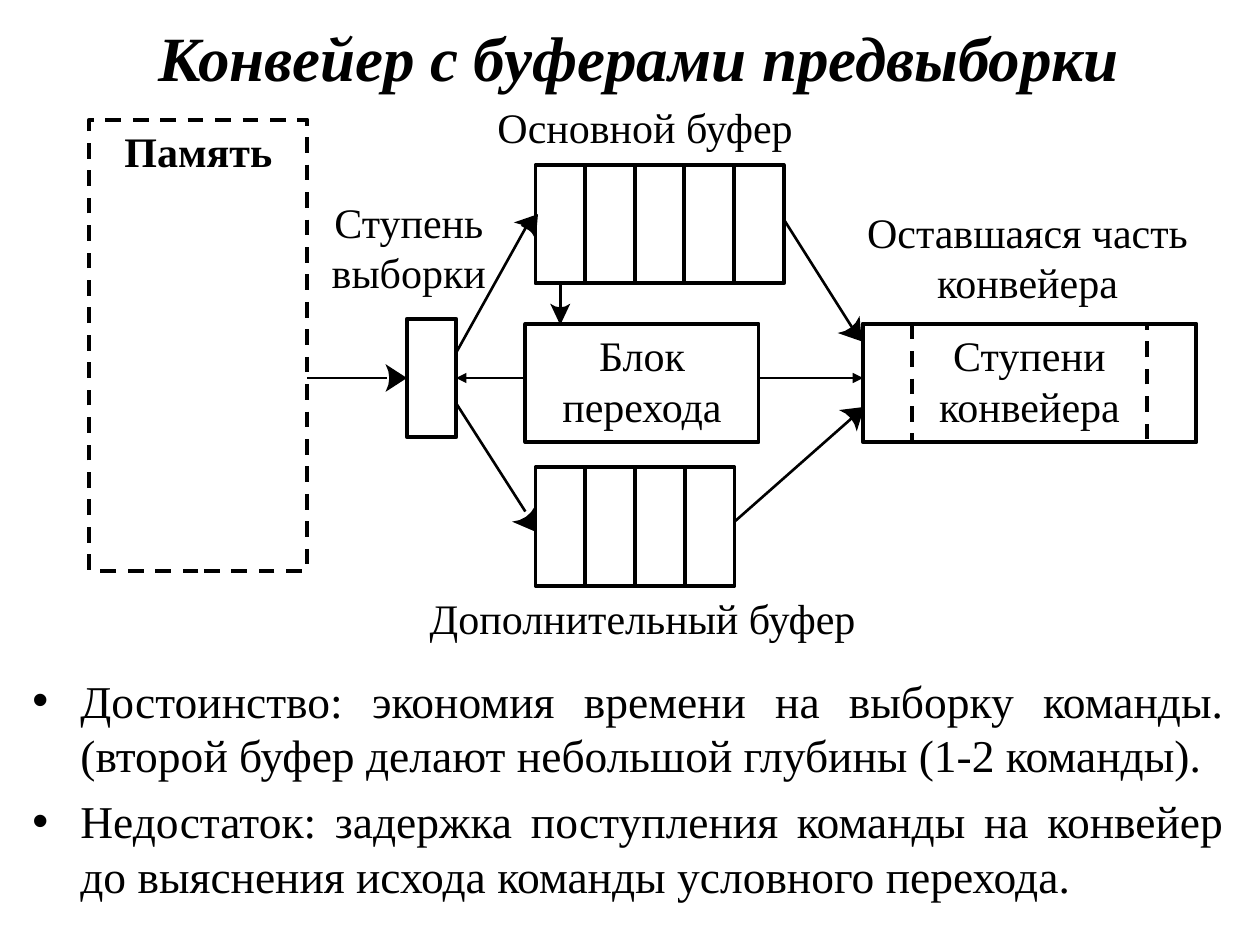
from dataclasses import dataclass
from math import cos, radians, sin

from lxml.etree import SubElement
from pptx import Presentation
from pptx.dml.color import RGBColor
from pptx.enum.dml import MSO_LINE
from pptx.enum.shapes import MSO_CONNECTOR, MSO_SHAPE
from pptx.enum.text import MSO_ANCHOR, PP_ALIGN
from pptx.oxml.ns import qn
from pptx.util import Inches, Pt


@dataclass(frozen=True)
class Theme:
    ink: RGBColor = RGBColor(0, 0, 0)
    font: str = "Times New Roman"
    bullet_font: str = "Arial"
    title: int = 36
    body: int = 26
    label: int = 24
    border: float = 2.25
    flow: float = 1.5
    signal: float = 0.75


THEME = Theme()


def add_run(paragraph, text, size, bold=False, italic=False):
    run = paragraph.add_run()
    run.text = text
    run.font.name = THEME.font
    run.font.size = Pt(size)
    run.font.bold = bold
    run.font.italic = italic
    run.font.color.rgb = THEME.ink


def add_label(slide, box, text, size=THEME.label, **style):
    frame = slide.shapes.add_textbox(*map(Inches, box)).text_frame
    frame.word_wrap = True
    frame.paragraphs[0].alignment = PP_ALIGN.CENTER
    add_run(frame.paragraphs[0], text, size, **style)
    return frame


def add_block(slide, box, text="", dashed=False, bold=False):
    block = slide.shapes.add_shape(MSO_SHAPE.RECTANGLE, *map(Inches, box))
    block.shadow.inherit = False
    block.fill.background()
    block.line.color.rgb = THEME.ink
    block.line.width = Pt(THEME.border)
    if dashed:
        block.line.dash_style = MSO_LINE.DASH
    if text:
        frame = block.text_frame
        frame.word_wrap = True
        frame.vertical_anchor = MSO_ANCHOR.TOP
        frame.paragraphs[0].alignment = PP_ALIGN.CENTER
        add_run(frame.paragraphs[0], text, THEME.label, bold)
    return block


def add_buffer(slide, box, count):
    left, top, width, height = box
    cell = width / count
    return [add_block(slide, (left + i * cell, top, cell, height)) for i in range(count)]


def add_flow(slide, start, end, width=THEME.flow, arrow=False):
    flow = slide.shapes.add_connector(
        MSO_CONNECTOR.STRAIGHT, *map(Inches, (*start, *end)))
    flow.line.color.rgb = THEME.ink
    flow.line.width = Pt(width)
    if arrow:
        SubElement(flow.line._get_or_add_ln(), qn("a:tailEnd"), type="triangle")
    SubElement(flow._element.spPr, qn("a:effectLst"))
    return flow


def add_arrowhead(slide, tip, angle, half_width=0.11, length=0.17, notch=0.03):
    dx, dy = cos(radians(angle)), sin(radians(angle))

    def locate(back, side):
        return (Inches(tip[0] - back * dx - side * dy),
                Inches(tip[1] - back * dy + side * dx))

    back_edge = [locate(length - notch * (1 - t * t), half_width * t)
                 for t in (-1, -0.5, 0, 0.5, 1)]
    builder = slide.shapes.build_freeform(*locate(0, 0), scale=1.0)
    builder.add_line_segments(back_edge, close=True)
    head = builder.convert_to_shape()
    head.shadow.inherit = False
    head.fill.solid()
    head.fill.fore_color.rgb = THEME.ink
    head.line.fill.background()


def add_title(slide, box):
    frame = add_label(slide, box, "Конвейер с буферами предвыборки",
                      THEME.title, bold=True, italic=True)
    frame.vertical_anchor = MSO_ANCHOR.MIDDLE


def add_pipeline(slide, box):
    left, top, width, height = box
    cell_width, cell_height = 0.39, 0.94
    axis = top + 2.05
    main_top, jump_top, extra_top = top + 0.36, top + 1.62, top + 2.76
    fetch_left, buffer_left, jump_left = left + 2.52, left + 3.54, left + 3.46
    stages_left, right = left + 6.14, left + width
    fetch_right = fetch_left + cell_width
    jump_width, main_width, extra_width = 1.85, 1.97, 1.58

    add_label(slide, (left + 1.61, top + 0.56, 1.85, 1.02), "Ступень выборки")
    add_label(slide, (left + 5.87, top + 0.64, 3.15, 0.86), "Оставшаяся часть конвейера")
    add_label(slide, (left + 2.99, top - 0.19, 2.84, 0.55), "Основной буфер")
    add_label(slide, (left + 2.4, top + 3.7, 3.98, 0.55), "Дополнительный буфер")

    add_block(slide, (left, top, 1.73, height), "Память", dashed=True, bold=True)
    fetch = add_block(slide, (fetch_left, axis - cell_height / 2, cell_width, cell_height))
    main_buffer = add_buffer(slide, (buffer_left, main_top, main_width, cell_height), 5)
    add_buffer(slide, (buffer_left, extra_top, extra_width, cell_height), 4)
    add_block(slide, (jump_left, jump_top, jump_width, cell_height), "Блок перехода")
    add_block(slide, (stages_left, jump_top, right - stages_left, cell_height),
              "Ступени конвейера")
    for stage_left in (stages_left, right - cell_width):
        add_block(slide, (stage_left, jump_top, cell_width, cell_height), dashed=True)

    add_flow(slide, (left + 1.73, axis), (fetch_left - 0.16, axis))
    add_flow(slide, (fetch_right, axis - 0.2), (buffer_left - 0.04, top + 0.79), arrow=True)
    add_flow(slide, (fetch_right, axis + 0.2), (buffer_left - 0.08, top + 3.11))
    add_flow(slide, (buffer_left + main_width, top + 0.79), (stages_left - 0.08, top + 1.66))
    add_flow(slide, (buffer_left + extra_width, top + 3.19), (stages_left, top + 2.29))
    jump_x = buffer_left + main_width / 10
    to_jump = add_flow(slide, (jump_x, main_top + cell_height), (jump_x, jump_top - 0.12))
    to_jump.begin_connect(main_buffer[0], 2)
    to_fetch = add_flow(slide, (jump_left, axis), (fetch_right, axis), THEME.signal, True)
    to_fetch.end_connect(fetch, 3)
    add_flow(slide, (jump_left + jump_width, axis), (stages_left, axis), THEME.signal, True)

    add_arrowhead(slide, (jump_x, jump_top + 0.01), 90, half_width=0.08)
    for tip, angle in (
        ((fetch_left, axis), 0),
        ((buffer_left + 0.02, top + 0.75), -52),
        ((buffer_left, top + 3.27), 56),
        ((stages_left - 0.01, top + 1.76), 52),
        ((stages_left + 0.01, top + 2.28), -40),
    ):
        add_arrowhead(slide, tip, angle)


def add_conclusions(slide, box):
    frame = slide.shapes.add_textbox(*map(Inches, box)).text_frame
    frame.word_wrap = True
    conclusions = (
        "Достоинство: экономия времени на выборку команды. "
        "(второй буфер делают небольшой глубины (1-2 команды).",
        "Недостаток: задержка поступления команды на конвейер "
        "до выяснения исхода команды условного перехода.",
    )
    for index, conclusion in enumerate(conclusions):
        paragraph = frame.add_paragraph() if index else frame.paragraphs[0]
        paragraph.alignment = PP_ALIGN.JUSTIFY
        if index:
            paragraph.space_before = Pt(6.5)
        properties = paragraph._p.get_or_add_pPr()
        properties.set("marL", str(Inches(0.38)))
        properties.set("indent", str(-Inches(0.38)))
        SubElement(properties, qn("a:buFont"), typeface=THEME.bullet_font)
        SubElement(properties, qn("a:buChar"), char="•")
        add_run(paragraph, conclusion, THEME.body)


def main():
    deck = Presentation()
    deck.slide_width, deck.slide_height = Inches(10), Inches(7.5)
    slide = deck.slides.add_slide(deck.slide_layouts[6])
    add_title(slide, (0.07, 0.17, 10, 0.55))
    add_pipeline(slide, (0.71, 0.95, 8.78, 3.58))
    add_conclusions(slide, (0.16, 5.29, 9.66, 1.97))
    deck.save("out.pptx")


if __name__ == "__main__":
    main()
